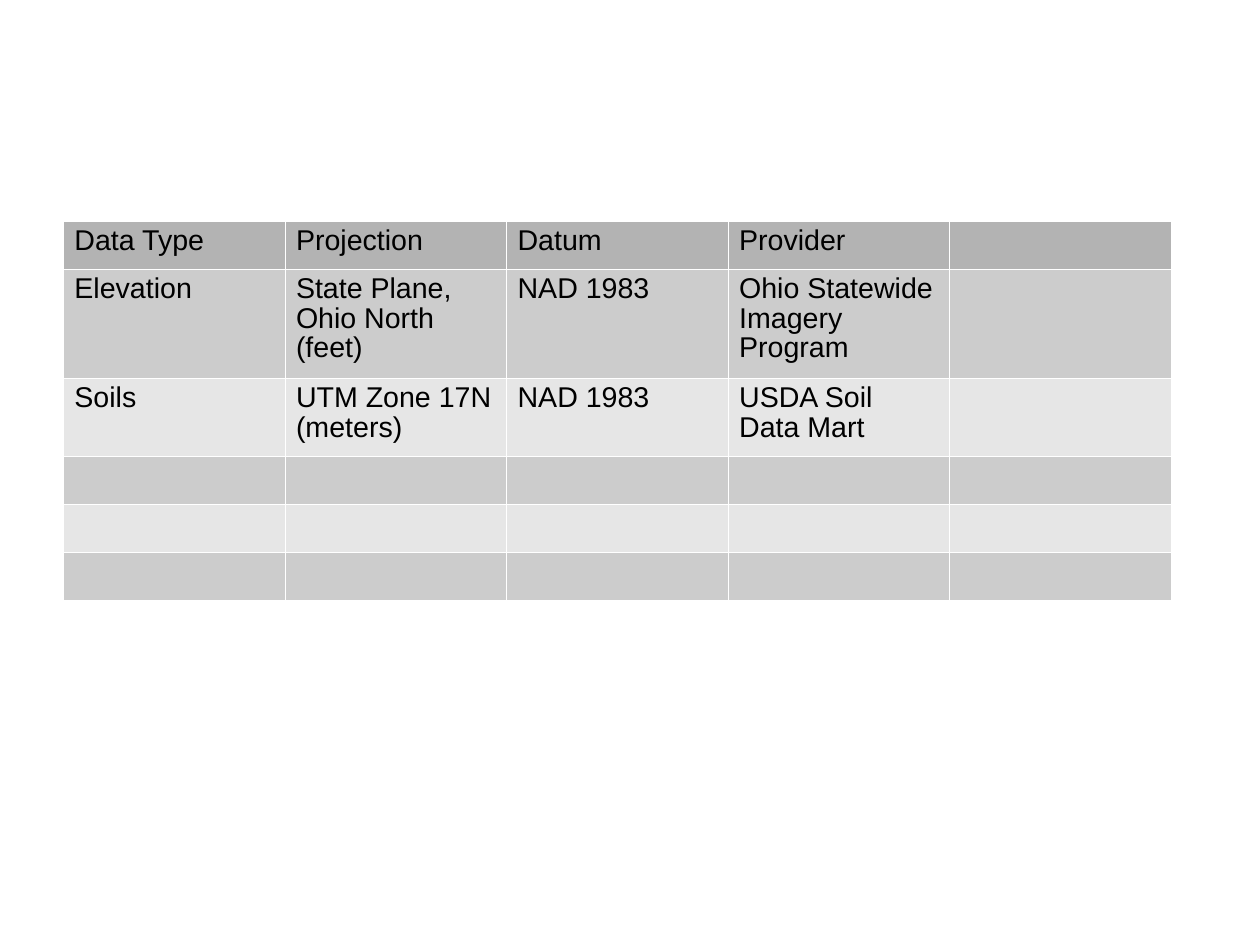
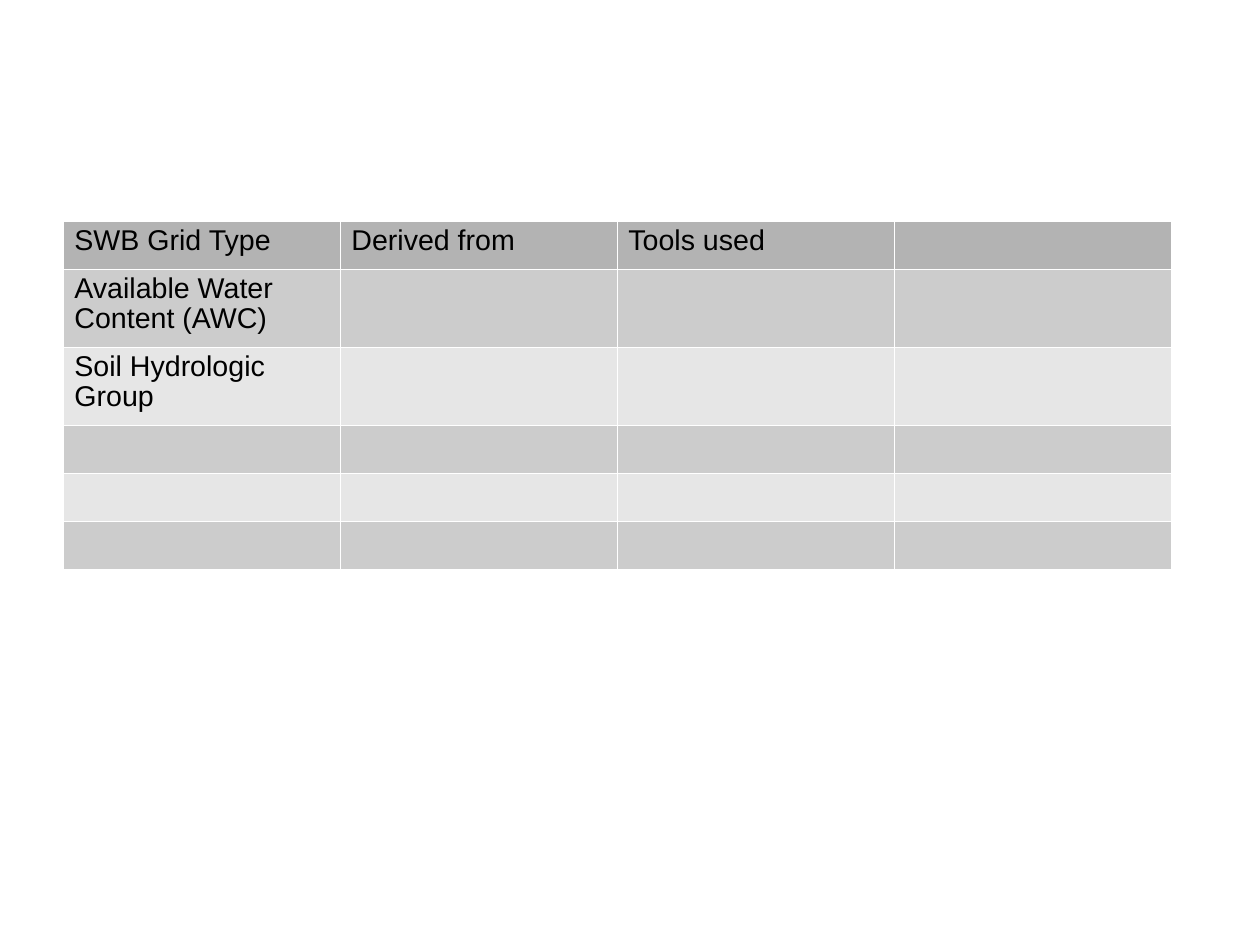
from lxml import etree
from pptx import Presentation
from pptx.dml.color import RGBColor
from pptx.oxml import parse_xml
from pptx.oxml.ns import nsdecls
from pptx.util import Pt

PX = 8000
LEFT, TOP, WIDTH = 63, 221, 1108
ROW_COUNT = 6
LINE_HEIGHTS = {1: 48, 2: 78, 3: 109}
COLORS = {
    "header": "B3B3B3",
    "odd": "CCCCCC",
    "even": "E6E6E6",
    "border": "FFFFFF",
    "text": "000000",
}
TABLES = [
    {
        "columns": 5,
        "lines": [1, 3, 2, 1, 1, 1],
        "rows": [
            ["Data Type", "Projection", "Datum", "Provider"],
            ["Elevation", "State Plane, Ohio North (feet)", "NAD 1983", "Ohio Statewide Imagery Program"],
            ["Soils", "UTM Zone 17N (meters)", "NAD 1983", "USDA Soil Data Mart"],
        ],
    },
    {
        "columns": 4,
        "lines": [1, 2, 2, 1, 1, 1],
        "rows": [
            ["SWB Grid Type", "Derived from", "Tools used"],
            ["Available Water Content (AWC)"],
            ["Soil Hydrologic Group"],
        ],
    },
]


def write_text(frame, text, size=18, font="Arial", color="text", spacing=0.93):
    paragraph = frame.paragraphs[0]
    paragraph.line_spacing = spacing
    run = paragraph.add_run()
    run.text = text
    run.font.size = Pt(size)
    run.font.name = font
    run.font.color.rgb = RGBColor.from_string(COLORS[color])


def style_cell(cell, fill, border="border", border_width=762):
    properties = cell._tc.get_or_add_tcPr()
    for side in ("lnL", "lnR", "lnT", "lnB"):
        properties.append(parse_xml(
            f'<a:{side} {nsdecls("a")} w="{border_width}"><a:solidFill>'
            f'<a:srgbClr val="{COLORS[border]}"/></a:solidFill></a:{side}>'
        ))
    cell.fill.solid()
    cell.fill.fore_color.rgb = RGBColor.from_string(COLORS[fill])


presentation = Presentation()
presentation.slide_width = 1260 * PX
presentation.slide_height = 945 * PX

for content in TABLES:
    slide = presentation.slides.add_slide(presentation.slide_layouts[6])
    heights = [LINE_HEIGHTS[lines] for lines in content["lines"]]
    column_count = content["columns"]
    table = slide.shapes.add_table(
        ROW_COUNT, column_count, LEFT * PX, TOP * PX, WIDTH * PX, sum(heights) * PX
    ).table
    table.first_row = False
    table.horz_banding = False

    for column in table.columns:
        column.width = WIDTH * PX // column_count
    for row_index, height in enumerate(heights):
        table.rows[row_index].height = height * PX
        fill = "header" if row_index == 0 else "odd" if row_index % 2 else "even"
        for cell in table.rows[row_index].cells:
            style_cell(cell, fill)
    for row_index, texts in enumerate(content["rows"]):
        for column_index, text in enumerate(texts):
            write_text(table.cell(row_index, column_index).text_frame, text)

presentation.save("out.pptx")
